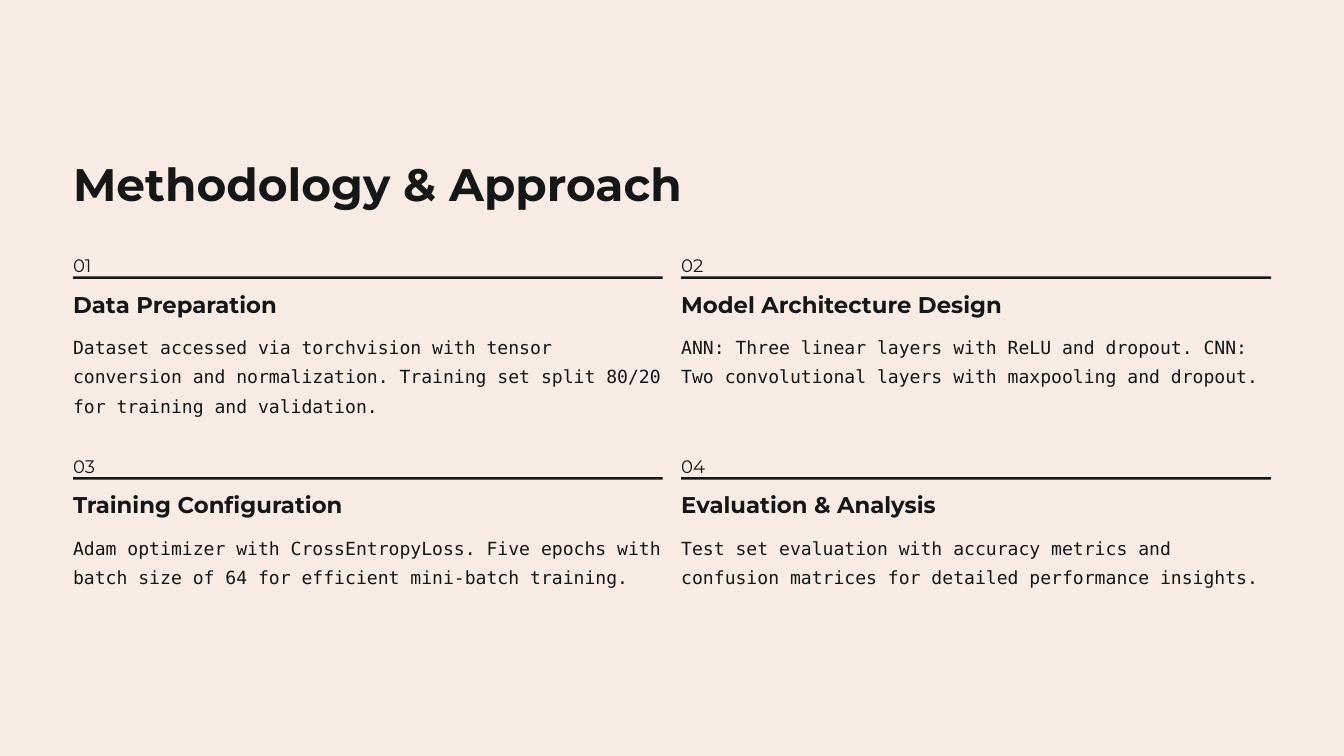
from dataclasses import dataclass

from pptx import Presentation
from pptx.dml.color import RGBColor
from pptx.enum.shapes import MSO_SHAPE
from pptx.enum.text import MSO_ANCHOR, PP_ALIGN
from pptx.util import Pt

RECTANGLE = MSO_SHAPE.RECTANGLE
TOP = MSO_ANCHOR.TOP
LEFT = PP_ALIGN.LEFT
BLANK_LAYOUT = 6


@dataclass(frozen=True)
class TextStyle:
    """Typeface, size, line spacing and weight of one kind of text."""
    font: str
    size: float
    leading: float
    bold: bool = False


@dataclass(frozen=True)
class Theme:
    """Colours and text styles of the deck."""
    paper: RGBColor = RGBColor(0xF8, 0xEC, 0xE4)
    ink: RGBColor = RGBColor(0x15, 0x16, 0x17)
    title: TextStyle = TextStyle("Montserrat", 39, 48.5, True)
    number: TextStyle = TextStyle("Montserrat", 15.5, 25)
    heading: TextStyle = TextStyle("Montserrat", 19.5, 24, True)
    body: TextStyle = TextStyle("DejaVu Sans Mono", 15.5, 25)


class SlideBuilder:
    """Draws styled elements on one slide, with lengths in points."""

    def __init__(self, slide, theme):
        self.slide = slide
        self.theme = theme

    def text(self, wording, style, left, top, width, height, wrap=False):
        box = self.slide.shapes.add_textbox(Pt(left), Pt(top), Pt(width), Pt(height))
        frame = box.text_frame
        frame.margin_left = frame.margin_top = 0
        frame.margin_right = frame.margin_bottom = 0
        frame.word_wrap = wrap
        frame.vertical_anchor = TOP
        paragraph = frame.paragraphs[0]
        paragraph.alignment = LEFT
        paragraph.line_spacing = Pt(style.leading)
        run = paragraph.add_run()
        run.text = wording
        run.font.name = style.font
        run.font.size = Pt(style.size)
        run.font.bold = style.bold
        run.font.color.rgb = self.theme.ink

    def block(self, colour, left, top, width, height):
        block = self.slide.shapes.add_shape(RECTANGLE, Pt(left), Pt(top), Pt(width), Pt(height))
        block.shadow.inherit = False
        block.fill.solid()
        block.fill.fore_color.rgb = colour
        block.line.fill.background()

    def step(self, number, heading, heading_width, body, body_lines, left, top):
        theme = self.theme
        self.text(number, theme.number, left, top - 0.5, 22, 19.44)
        self.block(theme.ink, left, top + 24.48, STEP_WIDTH, 2.16)
        self.text(heading, theme.heading, left, top + 36, heading_width, 24.48)
        self.text(body, theme.body, left, top + 69.84, STEP_WIDTH,
                  body_lines * theme.body.leading, wrap=True)


SLIDE_WIDTH, SLIDE_HEIGHT = 1152, 648
MARGIN = 62.64
STEP_WIDTH = 505.44
COLUMN_PITCH = 521.28
STEPS_TOP = 212.4
ROW_PITCH = 172.08
COLUMNS = 2

STEPS = [
    ("Data Preparation", 195.12,
     "Dataset accessed via torchvision with tensor conversion and normalization. "
     "Training set split 80/20 for training and validation.", 3),
    ("Model Architecture Design", 285.12,
     "ANN: Three linear layers with ReLU and dropout. "
     "CNN: Two convolutional layers with maxpooling and dropout.", 2),
    ("Training Configuration", 239.76,
     "Adam optimizer with CrossEntropyLoss. "
     "Five epochs with batch size of 64 for efficient mini-batch training.", 2),
    ("Evaluation & Analysis", 228.24,
     "Test set evaluation with accuracy metrics and "
     "confusion matrices for detailed performance insights.", 2),
]


def main():
    deck = Presentation()
    deck.slide_width, deck.slide_height = Pt(SLIDE_WIDTH), Pt(SLIDE_HEIGHT)
    slide = deck.slides.add_slide(deck.slide_layouts[BLANK_LAYOUT])
    theme = Theme()
    builder = SlideBuilder(slide, theme)

    builder.block(theme.paper, 0, 0, SLIDE_WIDTH, SLIDE_HEIGHT)
    builder.text("Methodology & Approach", theme.title, MARGIN, 131.76, 541.44, 48.96)
    for index, (heading, heading_width, body, body_lines) in enumerate(STEPS):
        row, column = divmod(index, COLUMNS)
        builder.step(f"{index + 1:02}", heading, heading_width, body, body_lines,
                     MARGIN + column * COLUMN_PITCH, STEPS_TOP + row * ROW_PITCH)

    deck.save("out.pptx")


if __name__ == "__main__":
    main()
